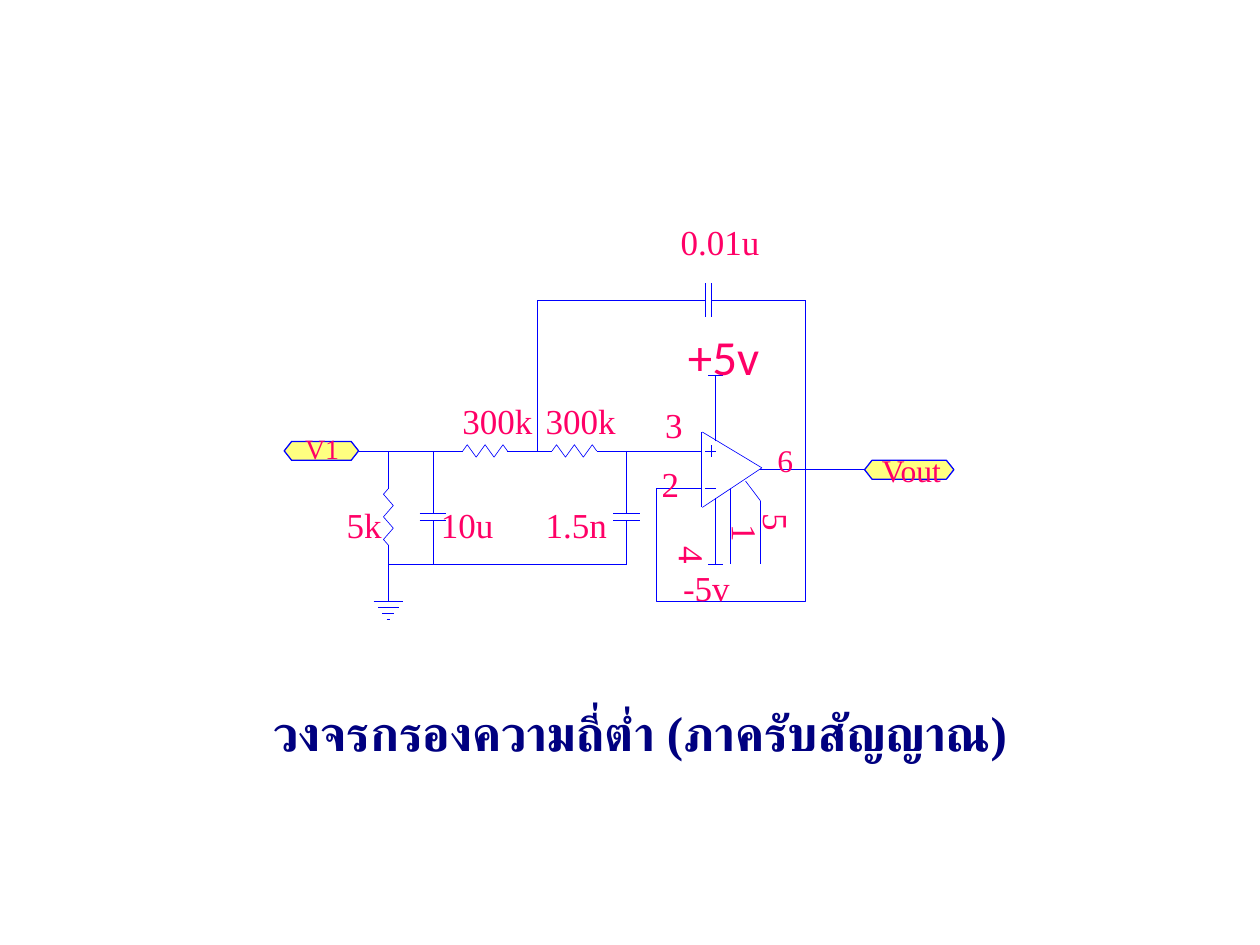
from lxml.etree import SubElement
from pptx import Presentation
from pptx.dml.color import RGBColor
from pptx.enum.shapes import MSO_CONNECTOR as Connector
from pptx.enum.text import MSO_ANCHOR as Anchor, MSO_AUTO_SIZE as AutoSize, PP_ALIGN as Align
from pptx.oxml.ns import qn
from pptx.util import Cm, Pt


def color(hex_code):
    return RGBColor.from_string(hex_code)


def col(step):
    return Cm(7.83 + 0.3 * step)


def row(step):
    return Cm(6.05 + 0.38 * step)


class Schematic:
    wire_color = "0000FF"
    label_color = "FF0066"
    tag_color = "FFFF80"
    caption_color = "000080"
    serif = "Times New Roman"

    def __init__(self, slide):
        self.slide = slide

    def set_text(self, shape, text, size, font, ink, bold=False):
        frame = shape.text_frame
        frame.margin_left = frame.margin_right = frame.margin_top = frame.margin_bottom = 0
        frame.vertical_anchor = Anchor.TOP
        frame.auto_size = AutoSize.NONE
        frame.text = text
        paragraph = frame.paragraphs[0]
        paragraph.alignment = Align.LEFT
        for run in paragraph.runs:
            run.font.size = Pt(size)
            run.font.name = font
            run.font.bold = bold
            run.font.color.rgb = color(ink)
            SubElement(run.font._element, qn("a:cs"), typeface=font)
        return frame

    def caption(self, text, left, top, width, height):
        title = self.slide.shapes.title
        title.left, title.top, title.width, title.height = Cm(left), Cm(top), Cm(width), Cm(height)
        frame = self.set_text(title, text, 28, self.serif, self.caption_color, True)
        frame.word_wrap = True

    def label(self, text, left, top, width, size=20, turn=0, font=serif):
        box = self.slide.shapes.add_textbox(Cm(left), Cm(top), Cm(width), Cm(size * 0.042))
        box.rotation = turn
        self.set_text(box, text, size, font, self.label_color).word_wrap = False

    def wire(self, *corners):
        for (x1, y1), (x2, y2) in zip(corners, corners[1:]):
            line = self.slide.shapes.add_connector(
                Connector.STRAIGHT, col(x1), row(y1), col(x2), row(y2))
            line.line.color.rgb = color(self.wire_color)
            line.line.width = Pt(0.37)
            SubElement(line._element.spPr, qn("a:effectLst"))

    def outline(self, points, fill=None):
        corners = [(col(x), row(y)) for x, y in points]
        builder = self.slide.shapes.build_freeform(*corners[0])
        builder.add_line_segments(corners[1:], close=fill is not None)
        shape = builder.convert_to_shape()
        shape.shadow.inherit = False
        shape.line.color.rgb = color(self.wire_color)
        shape.line.width = Pt(0 if fill else 0.37)
        if fill:
            shape.fill.solid()
            shape.fill.fore_color.rgb = color(fill)
        else:
            shape.fill.background()

    def tag(self, left, right, y):
        self.outline([(left + 0.5, y + 0.5), (left, y), (left + 0.5, y - 0.5),
                      (right - 0.5, y - 0.5), (right, y), (right - 0.5, y + 0.5)],
                     self.tag_color)

    def resistor(self, x, y, upright=False):
        def at(along, across):
            return (x + across, y + along) if upright else (x + along, y + across)

        bends = [(0.3 + 0.6 * i, 0.33 if i % 2 else -0.33) for i in range(5)]
        self.wire(at(-1, 0), at(0, 0))
        self.outline([at(*point) for point in [(0, 0), *bends, (3, 0)]])
        self.wire(at(3, 0), at(4, 0))

    def capacitor(self, x, y, upright=False):
        def at(along, across):
            return (x + across, y + along) if upright else (x + along, y + across)

        for side in (-1, 1):
            self.wire(at(1.5 * side, 0), at(0.5 * side, 0), at(0.2 * side, 0))
            self.wire(at(0.2 * side, -0.9), at(0.2 * side, 0.9))

    def ground(self, x, y):
        for i in range(4):
            half = 1 - 0.3 * i
            self.wire((x - half, y + 0.31 * i), (x + half, y + 0.31 * i))

    def op_amp(self):
        self.wire((21, 7), (21, 11))
        self.outline([(21.1, 7), (25.1, 8.9), (21.1, 11)])
        for y in (8, 10):
            self.wire((21, y), (18, y))
            self.wire((21.3, y), (22, y))
        self.wire((21.7, 7.7), (21.7, 8.35))
        self.wire((25, 9), (28, 9))
        self.wire((22, 7.5), (22, 7), (22, 4))
        self.wire((22, 10.5), (22, 11), (22, 14))
        self.wire((23, 10), (23, 11), (23, 14))
        self.wire((24, 9.6), (25, 10.65), (25, 11), (25, 14))
        for y in (4, 14):
            self.wire((21.5, y), (22.5, y))


def main():
    deck = Presentation()
    deck.slide_width, deck.slide_height = Cm(25.4), Cm(19.05)
    schematic = Schematic(deck.slides.add_slide(deck.slide_layouts[5]))

    schematic.caption(" วงจรกรองความถี่ต่ำ (ภาครับสัญญาณ)", 5.26, 14.17, 15.06, 2.4)

    schematic.op_amp()
    for x in (5, 11):
        schematic.resistor(x, 8)
    schematic.resistor(0, 10, upright=True)
    schematic.capacitor(21.5, 0)
    for x in (3, 16):
        schematic.capacitor(x, 11.5, upright=True)
        schematic.wire((x, 8), (x, 10))
        schematic.wire((x, 13), (x, 14))
    schematic.ground(0, 16)

    schematic.wire((-2, 8), (3, 8), (5, 8))
    schematic.wire((8, 8), (11, 8))
    schematic.wire((14, 8), (18, 8))
    schematic.wire((0, 8), (0, 9))
    schematic.wire((0, 14), (0, 15), (0, 16))
    schematic.wire((16, 14), (0, 14))
    schematic.wire((23, 0), (28, 0), (28, 9), (32, 9))
    schematic.outline([(10, 8), (10, 0), (20, 0)])
    schematic.outline([(18, 10), (18, 16), (28, 16), (28, 9)])
    schematic.tag(-7, -2, 8)
    schematic.tag(32, 38, 9)

    for text, left, top, width in [
        ("0.01u", 13.72, 4.45, 1.6), ("300k", 9.32, 8.05, 1.42), ("300k", 11, 8.05, 1.42),
        ("5k", 6.99, 10.16, 0.71), ("10u", 8.89, 10.16, 1.07), ("1.5n", 11, 10.16, 1.24),
        ("3", 13.41, 8.13, 0.36), ("2", 13.34, 9.32, 0.36), ("-5v", 13.77, 11.43, 0.94),
    ]:
        schematic.label(text, left, top, width)
    for pin, left, top in [("1", 14.86, 10.34), ("5", 15.49, 10.11), ("4", 13.79, 10.77)]:
        schematic.label(pin, left, top, 0.36, turn=90)
    schematic.label("6", 15.67, 8.89, 0.33, 18)
    schematic.label("Vout", 17.78, 9.09, 1.27, 18)
    schematic.label("V1", 6.15, 8.69, 0.69, 16)
    schematic.label("+5v", 13.87, 6.58, 1.68, 28, font="Calibri")

    deck.save("out.pptx")


if __name__ == "__main__":
    main()
